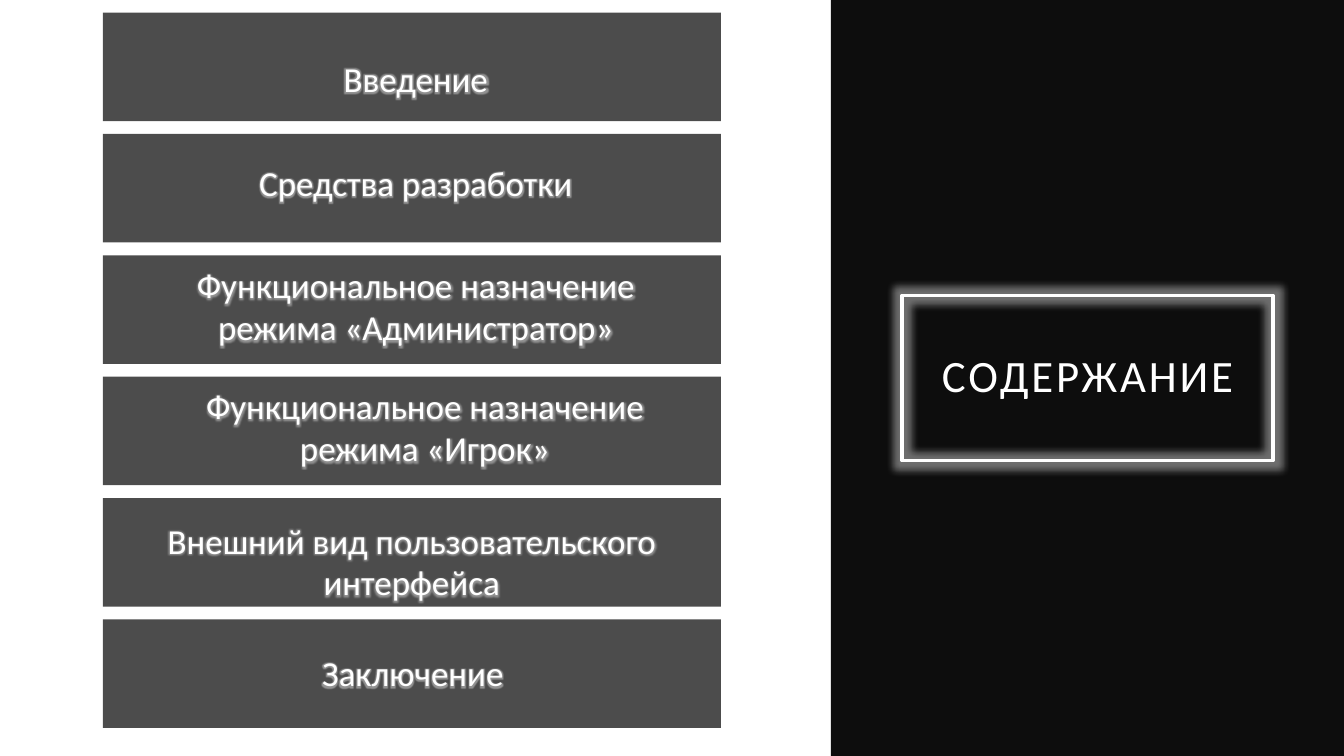
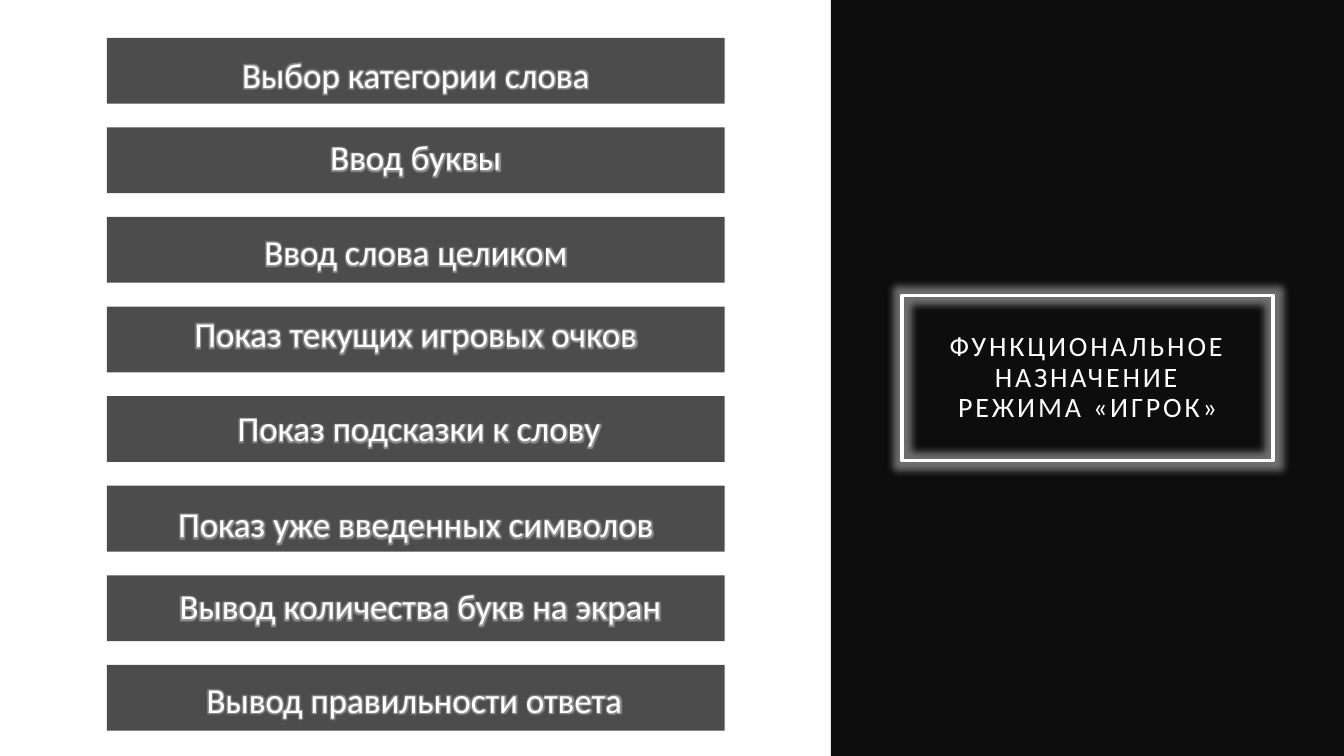
from dataclasses import dataclass

from lxml.etree import SubElement
from pptx import Presentation
from pptx.dml.color import RGBColor
from pptx.enum.shapes import MSO_SHAPE
from pptx.enum.text import MSO_ANCHOR, MSO_AUTO_SIZE, PP_ALIGN
from pptx.oxml import parse_xml
from pptx.oxml.ns import nsdecls, qn
from pptx.util import Pt


@dataclass(frozen=True)
class Theme:
    font: str = "Calibri"
    white: RGBColor = RGBColor(0xFF, 0xFF, 0xFF)
    panel: RGBColor = RGBColor(0x0D, 0x0D, 0x0D)
    bar: RGBColor = RGBColor(0, 0, 0)
    bar_opacity: int = 70
    glow_opacity: int = 40
    title_glow: float = 11
    label_glow: float = 5
    label_size: float = 25
    title_line: float = 2.5
    title_spacing: float = 2


@dataclass(frozen=True)
class Label:
    text: str
    top: float
    left: float = 76.3
    height: float = 39.6


THEME = Theme()
SLIDE_W, SLIDE_H = 960, 540
PANEL_LEFT = 593.5
TITLE_BOX = (644.4, 211, 265, 118)
TITLE_INSET = 14.4
BAR_W = 441.4
LABEL_INSET = 11.5

CONTENTS = [
    Label("Введение", 38.9, height=33.8),
    Label("Средства разработки", 110.9),
    Label("Функциональное назначение\vрежима «Администратор»", 198.7),
    Label("Функциональное назначение\vрежима «Игрок»", 285.1, 82.8),
    Label("Внешний вид пользовательского интерфейса", 380.9, 73.4),
    Label("Заключение", 460.8, 74.2),
]

PLAYER_FUNCTIONS = [
    Label("Выбор категории слова", 36, height=33.8),
    Label("Ввод буквы", 92.2),
    Label("Ввод слова целиком", 159.8),
    Label("Показ текущих игровых очков", 218.2),
    Label("Показ подсказки к слову", 285.8, 78.5),
    Label("Показ уже введенных символов", 354.2),
    Label("Вывод количества букв на экран", 412.6, 79.6),
    Label("Вывод правильности ответа", 479.5, 75.2),
]


def add_glow(effects, radius):
    """Put a white glow into an a:effectLst element."""
    glow = SubElement(effects, qn("a:glow"), rad=str(Pt(radius)))
    color = SubElement(glow, qn("a:srgbClr"), val=str(THEME.white))
    SubElement(color, qn("a:alpha"), val=str(THEME.glow_opacity * 1000))


def add_rect(s, left, top, width, height, color, opacity=100):
    sp = s.shapes.add_shape(MSO_SHAPE.RECTANGLE, Pt(left), Pt(top), Pt(width), Pt(height))
    sp.shadow.inherit = False
    sp.line.fill.background()
    sp.fill.solid()
    sp.fill.fore_color.rgb = color
    if opacity < 100:
        fill_color = sp.element.spPr.find(qn("a:solidFill"))[0]
        SubElement(fill_color, qn("a:alpha"), val=str(opacity * 1000))
    return sp


def set_text(sp, text, size, inset):
    """Write centred white text and return its paragraph."""
    tf = sp.text_frame
    tf.text = text
    tf.word_wrap = True
    tf.auto_size = MSO_AUTO_SIZE.NONE
    tf.vertical_anchor = MSO_ANCHOR.MIDDLE
    tf.margin_left = tf.margin_top = tf.margin_right = tf.margin_bottom = Pt(inset)
    p = tf.paragraphs[0]
    p.alignment = PP_ALIGN.CENTER
    for r in p.runs:
        r.font.name = THEME.font
        r.font.size = Pt(size)
        r.font.color.rgb = THEME.white
    return p


def add_label(s, label):
    sp = s.shapes.add_textbox(Pt(label.left), Pt(label.top), Pt(BAR_W), Pt(label.height))
    p = set_text(sp, label.text, THEME.label_size, LABEL_INSET)
    for r in p.runs:
        effects = parse_xml(f"<a:effectLst {nsdecls('a')}/>")
        add_glow(effects, THEME.label_glow)
        r.font._element.find(qn("a:solidFill")).addnext(effects)


def format_title(title, text, size):
    title.left, title.top, title.width, title.height = map(Pt, TITLE_BOX)
    title.line.color.rgb = THEME.white
    title.line.width = Pt(THEME.title_line)
    title.shadow.inherit = False
    add_glow(title.element.spPr.find(qn("a:effectLst")), THEME.title_glow)
    p = set_text(title, text, size, TITLE_INSET)
    p.line_spacing = 0.9
    for r in p.runs:
        r.font._element.set("spc", str(int(THEME.title_spacing * 100)))


def add_list_slide(prs, title, title_size, labels, bar_left, first_top, pitch, bar_h):
    """Dark title panel on the right, evenly spaced labelled bars on the left."""
    s = prs.slides.add_slide(prs.slide_layouts[5])
    panel = add_rect(s, PANEL_LEFT, 0, SLIDE_W - PANEL_LEFT, SLIDE_H, THEME.panel)
    s.shapes.title.element.addprevious(panel.element)
    format_title(s.shapes.title, title, title_size)
    for i in range(len(labels)):
        add_rect(s, bar_left, first_top + i * pitch, BAR_W, bar_h,
                 THEME.bar, THEME.bar_opacity)
    for label in labels:
        add_label(s, label)


def main():
    prs = Presentation()
    prs.slide_width, prs.slide_height = Pt(SLIDE_W), Pt(SLIDE_H)
    add_list_slide(prs, "СОДЕРЖАНИЕ", 32, CONTENTS,
                   bar_left=73.5, first_top=9, pitch=86.7, bar_h=77.5)
    add_list_slide(prs, "ФУНКЦИОНАЛЬНОЕ НАЗНАЧЕНИЕ\vРЕЖИМА «ИГРОК»", 20, PLAYER_FUNCTIONS,
                   bar_left=76.3, first_top=27, pitch=64, bar_h=47)
    prs.save("out.pptx")


if __name__ == "__main__":
    main()
